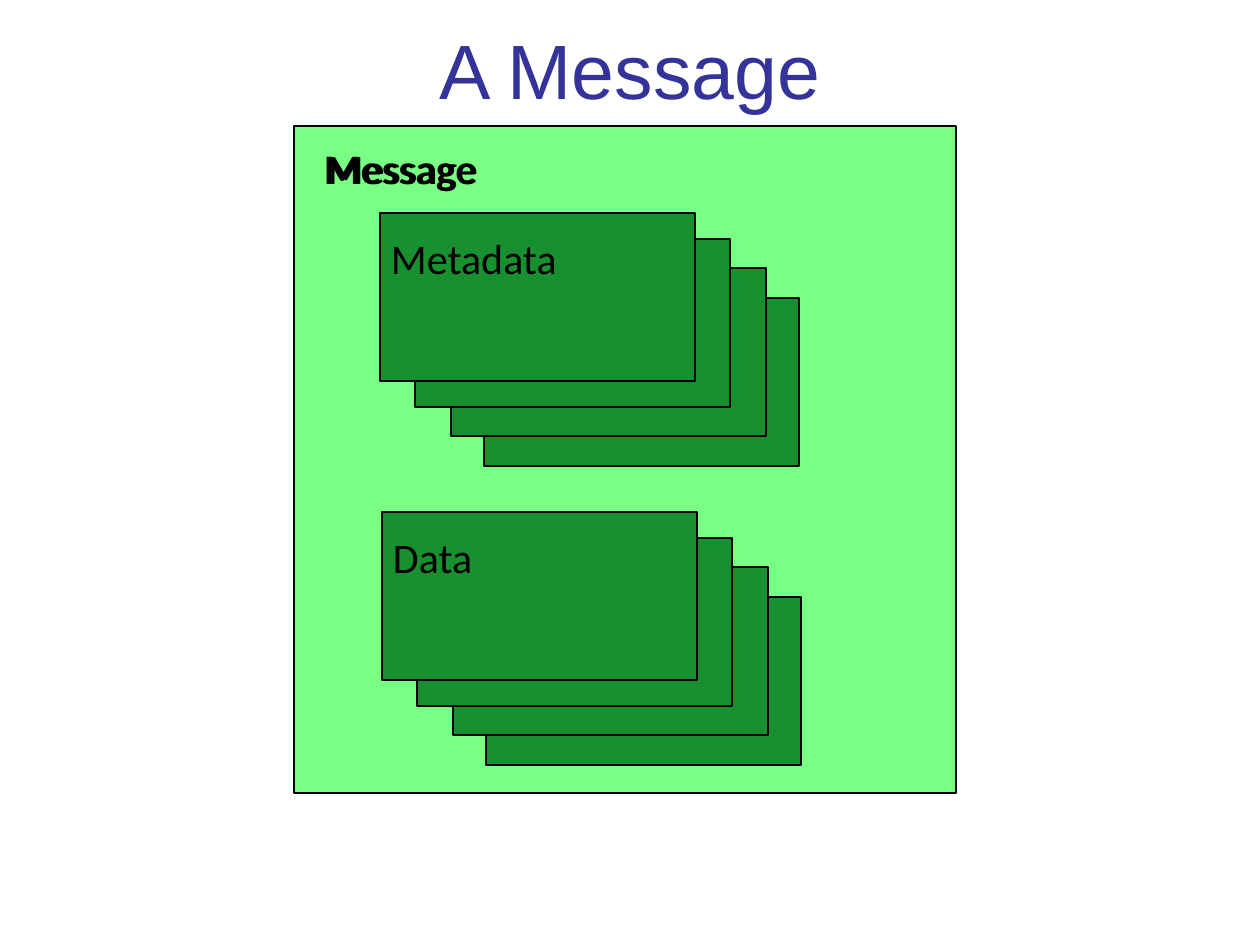
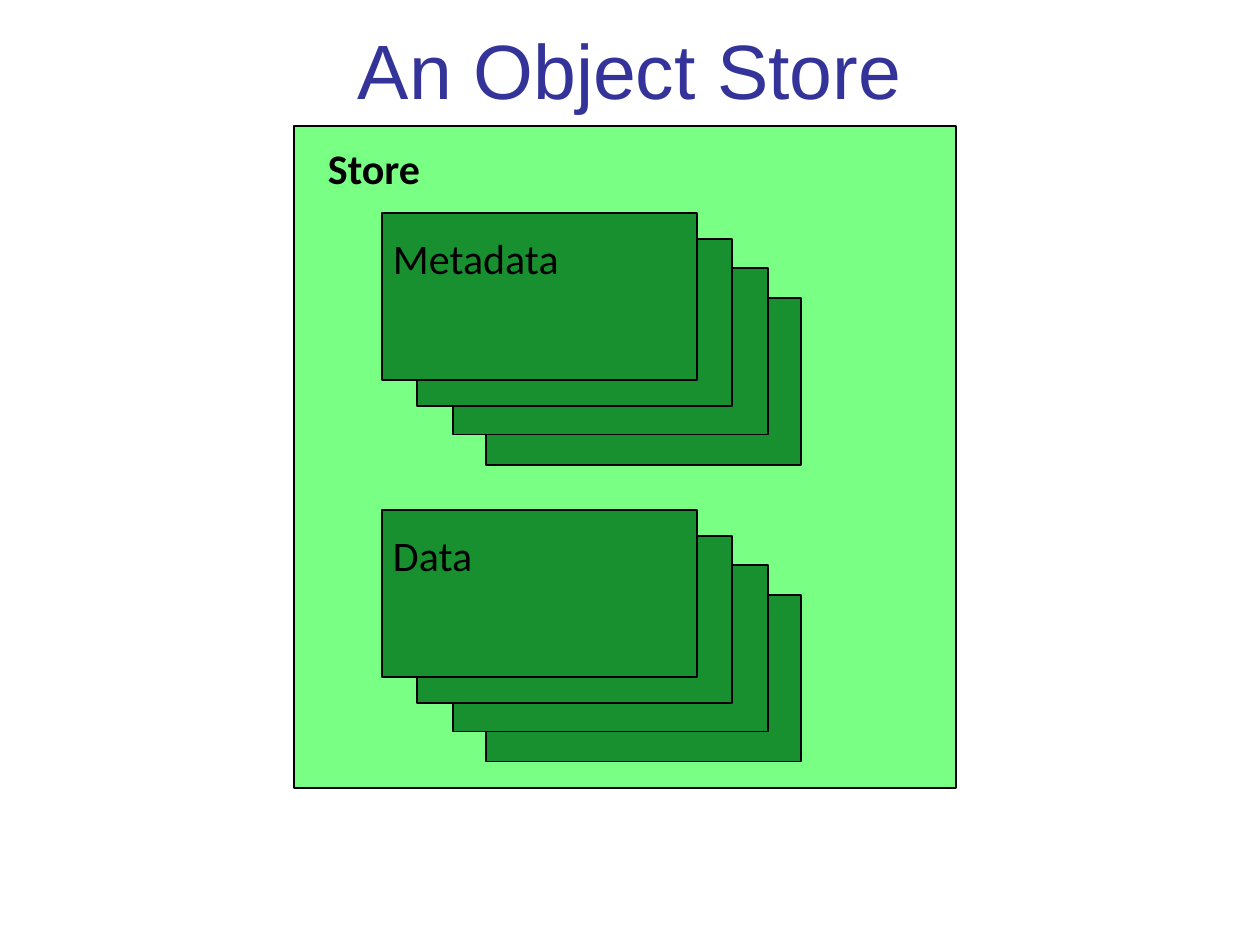
from pptx import Presentation
from pptx.dml.color import RGBColor
from pptx.enum.shapes import MSO_SHAPE as Shape
from pptx.enum.text import MSO_ANCHOR as Anchor, PP_ALIGN as Align
from pptx.util import Emu, Pt

PX = 914400 // 126
TITLE_BLUE = RGBColor(0x33, 0x33, 0x99)
PANEL_GREEN = RGBColor(0x79, 0xFF, 0x83)
CARD_GREEN = RGBColor(0x19, 0x90, 0x30)
BLACK = RGBColor(0, 0, 0)

SLIDES = [
    {
        "title": "A Message",
        "panel_height": 667,
        "card_height": 168,
        "headings": [("Message", 328, 175, False), ("Message", 324, 183, True)],
        "stacks": [("Metadata", 380, 213, 189), ("Data", 382, 512, 93)],
    },
    {
        "title": "An Object Store",
        "panel_height": 662,
        "card_height": 167,
        "headings": [("Store", 328, 111, True)],
        "stacks": [("Metadata", 382, 213, 189), ("Data", 382, 510, 93)],
    },
]

SLIDE_SIZE = (1260, 945)
TITLE_BOX = (0, -10, 1260, 157)
PANEL_LEFT, PANEL_TOP, PANEL_WIDTH = 294, 126, 662
HEADING_TOP, LABEL_HEIGHT = 140, 53
CARD_WIDTH = 315
CARD_OFFSETS = [(104, 85), (71, 55), (35, 26), (0, 0)]
LABEL_OFFSET = (11, 17)


def emu(*lengths):
    return [Emu(length * PX) for length in lengths]


def add_title(slide, text):
    title = slide.shapes.title
    title.left, title.top, title.width, title.height = emu(*TITLE_BOX)
    title.text_frame.vertical_anchor = Anchor.MIDDLE
    paragraph = title.text_frame.paragraphs[0]
    paragraph.alignment = Align.CENTER
    add_run(paragraph, text, "Arial", 44, TITLE_BLUE)


def add_run(paragraph, text, font_name, size, color, bold=False):
    run = paragraph.add_run()
    run.text = text
    run.font.name = font_name
    run.font.size = Pt(size)
    run.font.bold = bold
    run.font.color.rgb = color


def add_box(shapes, box, color):
    shape = shapes.add_shape(Shape.RECTANGLE, *emu(*box))
    shape.shadow.inherit = False
    shape.fill.solid()
    shape.fill.fore_color.rgb = color
    shape.line.color.rgb = BLACK
    shape.line.width = Pt(0.75)


def add_label(shapes, text, left, top, width, bold=False):
    label = shapes.add_textbox(*emu(left, top, width, LABEL_HEIGHT))
    frame = label.text_frame
    frame.word_wrap = True
    frame.vertical_anchor = Anchor.TOP
    frame.margin_left = frame.margin_right = frame.margin_top = frame.margin_bottom = 0
    paragraph = frame.paragraphs[0]
    paragraph.alignment = Align.LEFT
    paragraph.line_spacing = 1.05
    add_run(paragraph, text, "Calibri", 24, BLACK, bold)


def add_stack(slide, text, left, top, label_width, card_height):
    *back_cards, front_card = [
        (left + dx, top + dy, CARD_WIDTH, card_height) for dx, dy in CARD_OFFSETS
    ]
    for card in back_cards:
        add_box(slide.shapes, card, CARD_GREEN)
    group = slide.shapes.add_group_shape()
    add_box(group.shapes, front_card, CARD_GREEN)
    dx, dy = LABEL_OFFSET
    add_label(group.shapes, text, left + dx, top + dy, label_width)


def main():
    presentation = Presentation()
    presentation.slide_width, presentation.slide_height = emu(*SLIDE_SIZE)
    title_only = presentation.slide_layouts[5]
    for content in SLIDES:
        slide = presentation.slides.add_slide(title_only)
        add_title(slide, content["title"])
        panel = (PANEL_LEFT, PANEL_TOP, PANEL_WIDTH, content["panel_height"])
        add_box(slide.shapes, panel, PANEL_GREEN)
        for text, left, width, bold in content["headings"]:
            add_label(slide.shapes, text, left, HEADING_TOP, width, bold)
        for stack in content["stacks"]:
            add_stack(slide, *stack, content["card_height"])
    presentation.save("out.pptx")


if __name__ == "__main__":
    main()
